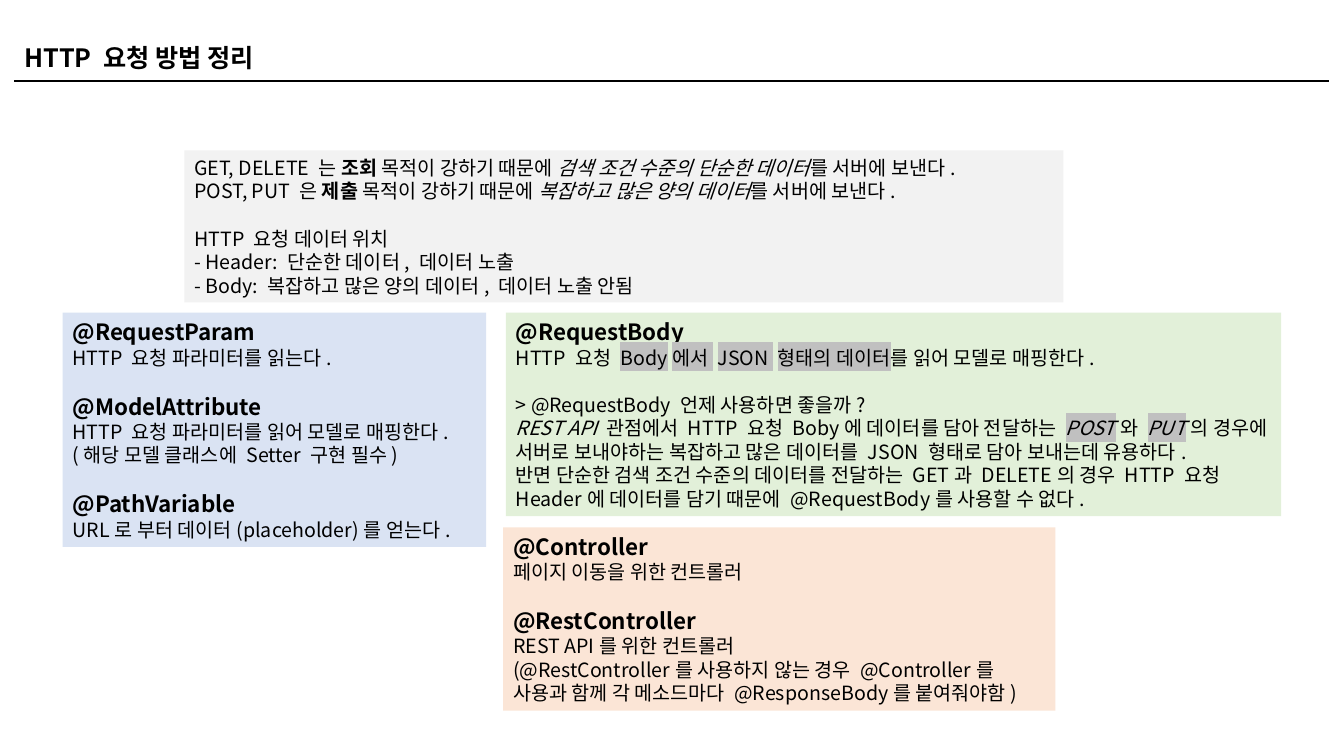
from dataclasses import dataclass

from lxml.etree import SubElement
from pptx import Presentation
from pptx.dml.color import RGBColor
from pptx.enum.shapes import MSO_CONNECTOR, MSO_SHAPE
from pptx.enum.text import MSO_ANCHOR, PP_ALIGN
from pptx.oxml import parse_xml
from pptx.oxml.ns import nsdecls, qn
from pptx.util import Cm, Pt


@dataclass(frozen=True)
class Theme:
    font: str = "Noto Sans CJK KR"
    ink: str = "000000"
    marker: str = "C0C0C0"
    grey: str = "F2F2F2"
    blue: str = "DAE3F3"
    green: str = "E2F0D9"
    orange: str = "FBE5D6"
    title: int = 18
    heading: int = 16
    body: int = 14
    gap: int = 17
    rule: float = 1.5


THEME = Theme()

# A panel is a list of blocks, a block a list of lines.
# A line is a heading (starts with "@"), plain text, or a list of (text, style)
# runs, where style holds b (bold), i (italic) and h (highlighted).
METHODS = [
    [
        [("GET, DELETE 는 ", ""), ("조회", "b"), (" 목적이 강하기 때문에 ", ""),
         ("검색 조건 수준의 단순한 데이터", "i"), ("를 서버에 보낸다.", "")],
        [("POST, PUT 은 ", ""), ("제출", "b"), (" 목적이 강하기 때문에 ", ""),
         ("복잡하고 많은 양의 데이터", "i"), ("를 서버에 보낸다.", "")],
    ],
    [
        "HTTP 요청 데이터 위치",
        "- Header: 단순한 데이터, 데이터 노출",
        "- Body: 복잡하고 많은 양의 데이터, 데이터 노출 안됨",
    ],
]
PARAMETERS = [
    ["@RequestParam", "HTTP 요청 파라미터를 읽는다."],
    ["@ModelAttribute", "HTTP 요청 파라미터를 읽어 모델로 매핑한다.",
     "(해당 모델 클래스에 Setter 구현 필수)"],
    ["@PathVariable", "URL로 부터 데이터(placeholder)를 얻는다."],
]
REQUEST_BODY = [
    [
        "@RequestBody",
        [("HTTP 요청 ", ""), ("Body에서 JSON 형태의 데이터", "h"),
         ("를 읽어 모델로 매핑한다.", "")],
    ],
    [
        "> @RequestBody 언제 사용하면 좋을까?",
        [("REST API ", "i"),
         ("관점에서 HTTP 요청 Boby에 데이터를 담아 전달하는 ", ""),
         ("POST", "ih"), ("와 ", ""), ("PUT", "ih"),
         ("의 경우에 서버로 보내야하는 복잡하고 많은 데이터를 "
          "JSON 형태로 담아 보내는데 유용하다.", "")],
        "반면 단순한 검색 조건 수준의 데이터를 전달하는 GET과 DELETE의 경우 "
        "HTTP 요청 Header에 데이터를 담기 때문에 @RequestBody를 사용할 수 없다.",
    ],
]
CONTROLLERS = [
    ["@Controller", "페이지 이동을 위한 컨트롤러"],
    ["@RestController", "REST API를 위한 컨트롤러",
     "(@RestController를 사용하지 않는 경우 @Controller를 사용과 함께 "
     "각 메소드마다 @ResponseBody를 붙여줘야함)"],
]


def add_run(p, text, size, style=""):
    r = p.add_run()
    r.text = text
    font = r.font
    font.size = Pt(size)
    font.bold = "b" in style
    font.italic = "i" in style
    font.name = THEME.font
    font.color.rgb = RGBColor.from_string(THEME.ink)
    rPr = r._r.get_or_add_rPr()
    ea = parse_xml(f'<a:ea {nsdecls("a")} typeface="{THEME.font}"/>')
    rPr.find(qn("a:latin")).addnext(ea)
    if "h" in style:
        highlight = parse_xml(
            f'<a:highlight {nsdecls("a")}><a:srgbClr val="{THEME.marker}"/></a:highlight>')
        rPr.find(qn("a:solidFill")).addnext(highlight)


def add_line(p, line):
    if isinstance(line, list):
        for text, style in line:
            add_run(p, text, THEME.body, style)
    elif line.startswith("@"):
        add_run(p, line, THEME.heading, "b")
    else:
        add_run(p, line, THEME.body)


def add_panel(s, box, fill, blocks):
    sp = s.shapes.add_shape(MSO_SHAPE.RECTANGLE, *map(Cm, box))
    sp.shadow.inherit = False
    sp.fill.solid()
    sp.fill.fore_color.rgb = RGBColor.from_string(fill)
    sp.line.fill.background()
    tf = sp.text_frame
    tf.word_wrap = True
    tf.vertical_anchor = MSO_ANCHOR.MIDDLE
    p = None
    for block in blocks:
        for i, line in enumerate(block):
            starts_later_block = p is not None and i == 0
            p = tf.paragraphs[0] if p is None else tf.add_paragraph()
            p.alignment = PP_ALIGN.LEFT
            if starts_later_block:
                p.space_before = Pt(THEME.gap)
            add_line(p, line)


def add_header(s, box, text):
    """Place the title in the box, with a rule just below it."""
    left, top, width, height = map(Cm, box)
    title = s.shapes.title
    title.left, title.top, title.width, title.height = left, top, width, height
    tf = title.text_frame
    tf.word_wrap = True
    tf.vertical_anchor = MSO_ANCHOR.MIDDLE
    p = tf.paragraphs[0]
    p.alignment = PP_ALIGN.LEFT
    add_run(p, text, THEME.title, "b")

    y = top + height + Cm(0.07)
    rule = s.shapes.add_connector(MSO_CONNECTOR.STRAIGHT, left, y, left + width, y)
    rule.line.color.rgb = RGBColor.from_string(THEME.ink)
    rule.line.width = Pt(THEME.rule)
    SubElement(rule._element.spPr, qn("a:effectLst"))


def main():
    prs = Presentation()
    prs.slide_width, prs.slide_height = Cm(33.87), Cm(19.05)
    s = prs.slides.add_slide(prs.slide_layouts[5])
    add_header(s, (0.36, 0.94, 33.12, 1.02), "HTTP 요청 방법 정리")
    add_panel(s, (1.58, 7.88, 10.67, 5.9), THEME.blue, PARAMETERS)
    add_panel(s, (12.75, 7.88, 19.54, 5.13), THEME.green, REQUEST_BODY)
    add_panel(s, (4.65, 3.79, 22.15, 3.83), THEME.grey, METHODS)
    add_panel(s, (12.68, 13.29, 13.92, 4.62), THEME.orange, CONTROLLERS)
    prs.save("out.pptx")


if __name__ == "__main__":
    main()
